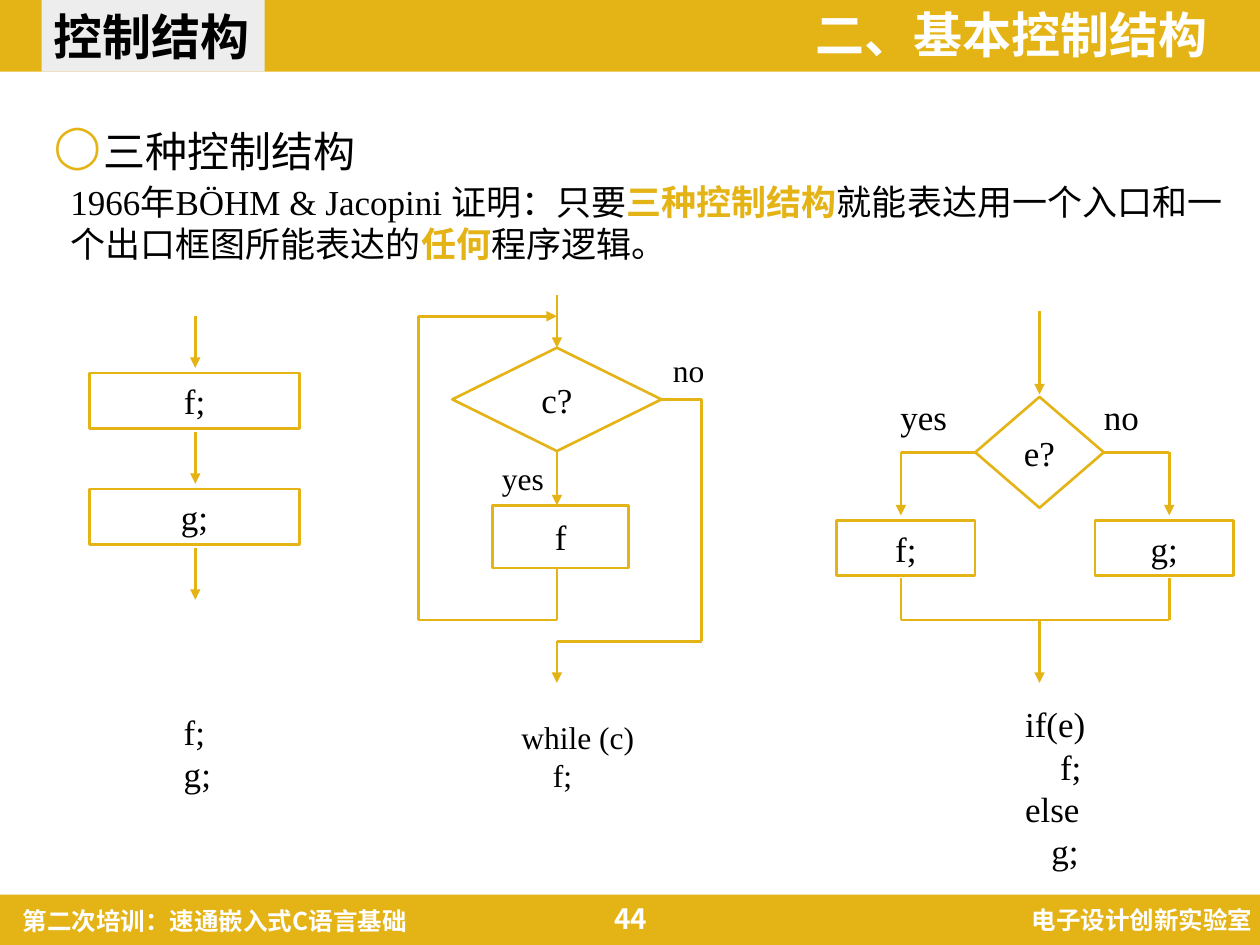
from dataclasses import dataclass
from typing import Optional

from lxml.etree import SubElement
from pptx import Presentation
from pptx.dml.color import RGBColor
from pptx.enum.shapes import MSO_CONNECTOR as Link, MSO_SHAPE as Shape
from pptx.enum.text import MSO_ANCHOR as Anchor, PP_ALIGN as Align
from pptx.oxml.ns import qn
from pptx.util import Inches, Pt

GOLD = RGBColor(0xE4, 0xB3, 0x16)
GREY = RGBColor(0xED, 0xED, 0xED)
WHITE = RGBColor(0xFF, 0xFF, 0xFF)
BLACK = RGBColor(0x00, 0x00, 0x00)
SANS = "Noto Sans CJK SC"
SERIF = "Times New Roman"
TOP, LEFT, BOTTOM, RIGHT = range(4)


@dataclass
class Style:
    size: int = 20
    font: str = SERIF
    color: RGBColor = BLACK
    bold: bool = False


@dataclass
class Label:
    text: str
    at: tuple
    style: Style
    align: Align = Align.LEFT
    anchor: Anchor = Anchor.TOP
    wrap: bool = False
    indent: float = 0


@dataclass
class Node:
    text: str
    at: tuple
    kind: Shape = Shape.RECTANGLE


@dataclass
class Route:
    """Joined straight lines; start and end name a node and its side."""
    points: list
    arrow: bool = True
    start: Optional[tuple] = None
    end: Optional[tuple] = None


BODY = Style()
SMALL = Style(18)
STRONG = Style(color=GOLD, bold=True)
HEAD = Style(28, SANS, WHITE, True)
TAB = Style(28, SANS, BLACK, True)
FOOT = Style(14, SANS, WHITE, True)
PAGE = Style(16, SANS, WHITE, True)


def box(at: tuple) -> list:
    return [Inches(v) for v in at]


def add_run(para, text: str, style: Style) -> None:
    run = para.add_run()
    run.text = text
    font = run.font
    font.size, font.bold = Pt(style.size), style.bold
    font.color.rgb = style.color
    font.name = style.font
    SubElement(run._r.get_or_add_rPr(), qn("a:ea")).set("typeface", SANS)


def add_label(slide, label: Label):
    frame = slide.shapes.add_textbox(*box(label.at)).text_frame
    frame.word_wrap = label.wrap
    frame.vertical_anchor = label.anchor
    for i, line in enumerate(label.text.split("\n")):
        para = frame.add_paragraph() if i else frame.paragraphs[0]
        para.alignment = label.align
        if label.indent:
            props = para._p.get_or_add_pPr()
            props.set("marL", str(Inches(label.indent)))
            props.set("indent", "0")
        if line:
            add_run(para, line, label.style)
    return frame


def add_bar(slide, at: tuple, fill: RGBColor):
    bar = slide.shapes.add_shape(Shape.RECTANGLE, *box(at))
    bar.shadow.inherit = False
    bar.fill.solid()
    bar.fill.fore_color.rgb = fill
    bar.line.fill.background()
    return bar


def add_node(slide, node: Node):
    shape = slide.shapes.add_shape(node.kind, *box(node.at))
    shape.shadow.inherit = False
    shape.fill.background()
    shape.line.color.rgb = GOLD
    shape.line.width = Pt(1.5)
    frame = shape.text_frame
    frame.word_wrap = False
    frame.vertical_anchor = Anchor.MIDDLE
    para = frame.paragraphs[0]
    para.alignment = Align.CENTER
    add_run(para, node.text, BODY)
    return shape


def add_route(slide, route: Route, nodes: list) -> None:
    links = []
    for a, b in zip(route.points, route.points[1:]):
        link = slide.shapes.add_connector(Link.STRAIGHT, *box(a + b))
        link.line.color.rgb = GOLD
        link.line.width = Pt(1.5)
        SubElement(link.element.spPr, qn("a:effectLst"))
        links.append(link)
    if route.arrow:
        line = links[-1].element.spPr.find(qn("a:ln"))
        SubElement(line, qn("a:tailEnd")).set("type", "triangle")
    if route.start:
        links[0].begin_connect(nodes[route.start[0]], route.start[1])
    if route.end:
        links[-1].end_connect(nodes[route.end[0]], route.end[1])


def add_chart(slide, nodes: list, routes: list, labels: list) -> None:
    """Draw one flow chart."""
    shapes = [add_node(slide, node) for node in nodes]
    for route in routes:
        add_route(slide, route, shapes)
    for label in labels:
        add_label(slide, label)


def add_frame(slide) -> None:
    """Draw the header, with the title, and the footer."""
    add_bar(slide, (0, 7.1, 10, 0.4), GOLD)
    add_bar(slide, (0, 0, 10, 0.57), GOLD)
    add_label(slide, Label("电子设计创新实验室", (6.9, 7.13, 3.14, 0.34), FOOT,
                           Align.RIGHT, wrap=True))
    add_label(slide, Label("第二次培训：速通嵌入式C语言基础",
                           (0.08, 7.14, 3.99, 0.34), FOOT, wrap=True))
    add_label(slide, Label("44", (4.39, 7.09, 1.23, 0.4), PAGE,
                           Align.CENTER, Anchor.MIDDLE, True))
    tab = add_bar(slide, (0.33, 0, 1.77, 0.57), GREY).text_frame
    tab.word_wrap = False
    tab.vertical_anchor = Anchor.MIDDLE
    tab.paragraphs[0].alignment = Align.LEFT
    add_run(tab.paragraphs[0], "控制结构", TAB)

    title = slide.shapes.title
    title.left, title.top, title.width, title.height = box((4.39, 0.07, 5.29, 0.46))
    title.text_frame.vertical_anchor = Anchor.MIDDLE
    para = title.text_frame.paragraphs[0]
    para.alignment, para.line_spacing = Align.RIGHT, 0.9
    add_run(para, "二、基本控制结构", HEAD)
    title.element.getparent().append(title.element)  # in front of the bar


def add_intro(slide) -> None:
    frame = add_label(slide, Label("", (0.33, 0.85, 9.35, 0.64), BODY,
                                   anchor=Anchor.MIDDLE, wrap=True))
    para = frame.paragraphs[0]
    props = para._p.get_or_add_pPr()
    props.set("marL", str(Inches(0.39)))
    props.set("indent", str(Inches(-0.39)))
    tint = SubElement(props, qn("a:buClr"))
    SubElement(tint, qn("a:srgbClr")).set("val", str(GOLD))
    SubElement(props, qn("a:buChar")).set("char", "◯")
    para.line_spacing = Pt(32)
    add_run(para, "三种控制结构", Style(24))

    frame = add_label(slide, Label("", (0.46, 1.38, 9.54, 0.77), BODY, wrap=True))
    for text, style in (("1966年BÖHM & Jacopini 证明：只要", BODY),
                        ("三种控制结构", STRONG),
                        ("就能表达用一个入口和一个出口框图所能表达的", BODY),
                        ("任何", STRONG), ("程序逻辑。", BODY)):
        add_run(frame.paragraphs[0], text, style)


def main() -> None:
    deck = Presentation()
    deck.slide_width, deck.slide_height = Inches(10), Inches(7.5)
    slide = deck.slides.add_slide(deck.slide_layouts[5])
    add_frame(slide)
    add_intro(slide)

    step = 0.92
    add_chart(
        slide,
        [Node(t, (0.71, 2.96 + step * i, 1.67, 0.44)) for i, t in enumerate(("f;", "g;"))],
        [Route([(1.55, 2.51 + step * i), (1.55, 2.92 + step * i)]) for i in range(3)],
        [Label("f;\ng;", (1.36, 5.59, 0.49, 0.77), BODY)])

    mid = 4.42
    add_chart(
        slide,
        [Node("c?", (3.59, 2.76, 1.66, 0.82), Shape.FLOWCHART_DECISION),
         Node("f", (3.91, 4.01, 1.08, 0.5))],
        [Route([(mid, 2.34), (mid, 2.76)], end=(0, TOP)),
         Route([(mid, 3.58), (mid, 4.01)], start=(0, BOTTOM)),
         Route([(mid, 4.51), (mid, 4.92), (3.32, 4.92), (3.32, 2.51), (mid, 2.51)]),
         Route([(5.25, 3.17), (5.57, 3.17), (5.57, 5.09), (mid, 5.09), (mid, 5.42)],
               start=(0, RIGHT))],
        [Label("yes", (3.76, 3.59, 0.78, 0.4), SMALL, Align.CENTER),
         Label("no", (5.24, 2.74, 0.45, 0.4), SMALL, Align.CENTER),
         Label("while (c)\n    f;", (3.62, 5.65, 1.53, 0.71), SMALL,
               wrap=True, indent=0.42)])

    mid = 8.25
    arms = ((7.15, 7.74, LEFT), (9.28, 8.76, RIGHT))
    add_chart(
        slide,
        [Node("e?", (7.74, 3.15, 1.02, 0.88), Shape.FLOWCHART_DECISION),
         Node("f;", (6.64, 4.13, 1.1, 0.44)), Node("g;", (8.69, 4.13, 1.1, 0.44))],
        [Route([(mid, 2.47), (mid, 3.13)]), Route([(mid, 4.92), (mid, 5.42)])]
        + [Route([(tip, 3.59), (x, 3.59), (x, 4.09)], start=(0, side))
           for x, tip, side in arms]
        + [Route([(x, 4.59), (x, 4.92), (mid, 4.92)], False) for x, _, _ in arms],
        [Label("yes", (7.04, 3.09, 0.58, 0.44), BODY, Align.CENTER),
         Label("no", (8.66, 3.09, 0.48, 0.44), BODY, Align.CENTER),
         Label("    if(e)\n        f;\n    else\n       g;", (7.76, 5.53, 0.96, 1.45), BODY)])
    deck.save("out.pptx")


if __name__ == "__main__":
    main()
